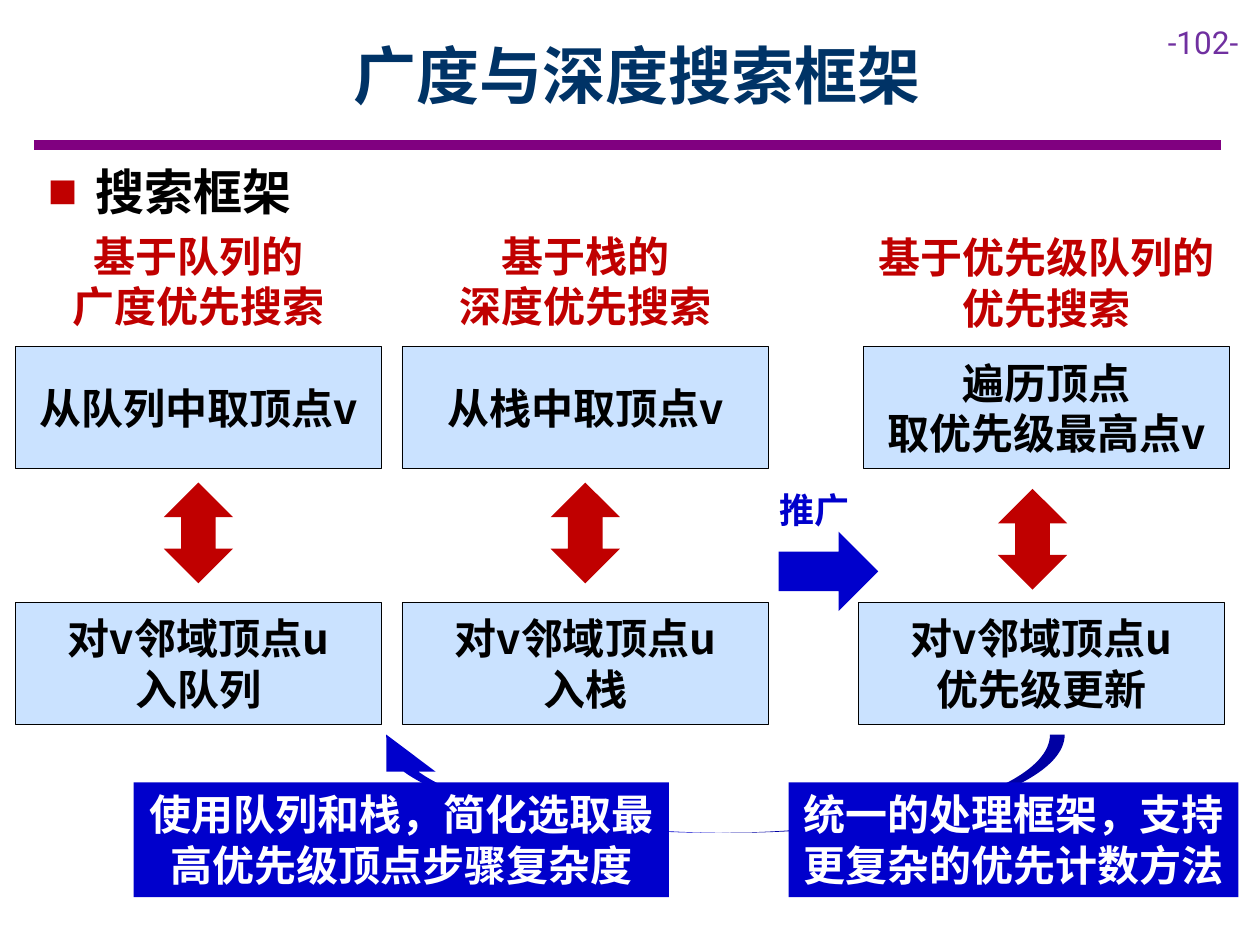
"""Build the slide comparing breadth-first, depth-first and priority search."""
from pptx import Presentation
from pptx.dml.color import RGBColor
from pptx.enum.shapes import MSO_CONNECTOR, MSO_SHAPE as SHAPE
from pptx.enum.text import MSO_ANCHOR as ANCHOR, MSO_AUTO_SIZE as AUTO_SIZE, PP_ALIGN as ALIGN
from pptx.oxml.ns import qn
from pptx.util import Inches, Pt
from lxml.etree import SubElement

COLORS = {
    "title": "003366", "red": "C00000", "blue": "0000CC", "pale": "CAE2FF",
    "black": "000000", "white": "FFFFFF", "rule": "800080", "number": "7030A0",
}
FONT = "Noto Sans CJK SC"


def write_text(shape, lines, size, color, align=ALIGN.CENTER, anchor=ANCHOR.MIDDLE,
               inset=0.05, wrap=True, font=FONT, bold=True):
    frame = shape.text_frame
    frame.word_wrap = wrap
    frame.auto_size = AUTO_SIZE.NONE
    frame.vertical_anchor = anchor
    frame.margin_left = frame.margin_right = Inches(0.1)
    frame.margin_top = frame.margin_bottom = Inches(inset)
    for index, line in enumerate(lines):
        paragraph = frame.paragraphs[0] if index == 0 else frame.add_paragraph()
        paragraph.alignment = align
        paragraph.space_before = Pt(0)
        run = paragraph.add_run()
        run.text = line
        run.font.size = Pt(size)
        run.font.bold = bold
        run.font.color.rgb = RGBColor.from_string(COLORS[color])
        run.font.name = font
        SubElement(run.font._element, qn("a:ea")).set("typeface", font)


def add_filled(kind, left, top, width, height, fill, outlined=False):
    shape = slide.shapes.add_shape(kind, Inches(left), Inches(top), Inches(width), Inches(height))
    shape.shadow.inherit = False
    shape.fill.solid()
    shape.fill.fore_color.rgb = RGBColor.from_string(COLORS[fill])
    if outlined:
        shape.line.color.rgb = RGBColor.from_string(COLORS["black"])
        shape.line.width = Pt(0.25)
    else:
        shape.line.fill.background()
    return shape


presentation = Presentation()
presentation.slide_width, presentation.slide_height = Inches(10), Inches(7.5)
slide = presentation.slides.add_slide(presentation.slide_layouts[1])

rule = slide.shapes.add_connector(
    MSO_CONNECTOR.STRAIGHT, Inches(0.27), Inches(1.15), Inches(9.69), Inches(1.15))
rule.line.color.rgb = RGBColor.from_string(COLORS["rule"])
rule.line.width = Pt(6)
SubElement(rule._element.spPr, qn("a:effectLst"))

number = slide.shapes.add_textbox(Inches(9.17), Inches(0.13), Inches(0.83), Inches(0.4))
write_text(number, ["-102-"], 18, "number", ALIGN.LEFT, ANCHOR.TOP, font="Roboto", bold=False)

title = slide.shapes.title
title.left, title.top, title.width, title.height = Inches(0.9), Inches(0.09), Inches(8.31), Inches(1)
write_text(title, ["广度与深度搜索框架"], 36, "title")

body = slide.placeholders[1]
body.left, body.top, body.width, body.height = Inches(0.28), Inches(1.23), Inches(3.46), Inches(0.57)
write_text(body, ["搜索框架"], 28, "black", ALIGN.LEFT, ANCHOR.TOP)
bullet_paragraph = body.text_frame.paragraphs[0]
bullet_paragraph.space_after = Pt(6)
properties = bullet_paragraph._p.get_or_add_pPr()
properties.set("marL", str(Inches(0.38)))
properties.set("indent", str(Inches(-0.38)))
bullet_color = SubElement(properties, qn("a:buClr"))
SubElement(bullet_color, qn("a:srgbClr")).set("val", COLORS["red"])
SubElement(properties, qn("a:buChar")).set("char", "■")

BOX_WIDTH, BOX_HEIGHT = 2.91, 0.97
columns = [
    (0.12, 0.12, 1.78, 2.91, 1.3, 3.83, 0.12, ["基于队列的", "广度优先搜索"],
     ["从队列中取顶点v"], "入队列"),
    (3.19, 3.19, 1.78, 2.91, 4.37, 3.83, 3.19, ["基于栈的", "深度优先搜索"],
     ["从栈中取顶点v"], "入栈"),
    (6.85, 6.73, 1.79, 3.15, 7.92, 3.88, 6.81, ["基于优先级队列的", "优先搜索"],
     ["遍历顶点", "取优先级最高点v"], "优先级更新"),
]
for (take_left, heading_left, heading_top, heading_width, arrow_left, arrow_top,
     update_left, heading_lines, take_lines, update_line) in columns:
    heading = slide.shapes.add_textbox(
        Inches(heading_left), Inches(heading_top), Inches(heading_width), Inches(0.9))
    write_text(heading, heading_lines, 24, "red", inset=0.1)
    take_box = add_filled(SHAPE.RECTANGLE, take_left, 2.75, BOX_WIDTH, BOX_HEIGHT, "pale", True)
    write_text(take_box, take_lines, 24, "black", inset=0.1)
    add_filled(SHAPE.UP_DOWN_ARROW, arrow_left, arrow_top, 0.55, 0.8, "red")
    update_box = add_filled(SHAPE.RECTANGLE, update_left, 4.78, BOX_WIDTH, BOX_HEIGHT, "pale", True)
    write_text(update_box, ["对v邻域顶点u", update_line], 24, "black", inset=0.1)

add_filled(SHAPE.RIGHT_ARROW, 6.18, 4.22, 0.79, 0.63, "blue")
extend_label = slide.shapes.add_textbox(Inches(6.09), Inches(3.83), Inches(0.76), Inches(0.44))
write_text(extend_label, ["推广"], 20, "blue", ALIGN.LEFT, ANCHOR.TOP, wrap=False)

return_arrow = add_filled(SHAPE.CURVED_DOWN_ARROW, 2.87, 5.83, 5.58, 0.78, "blue")
return_arrow.rotation = 180
for index, value in enumerate([0.15, 0.5, 0.377]):
    return_arrow.adjustments[index] = value

for left, width, note in [
    (6.26, 3.57, "统一的处理框架，支持更复杂的优先计数方法"),
    (1.06, 4.25, "使用队列和栈，简化选取最高优先级顶点步骤复杂度"),
]:
    note_box = add_filled(SHAPE.RECTANGLE, left, 6.21, width, 0.91, "blue")
    write_text(note_box, [note], 24, "white", anchor=ANCHOR.TOP)

presentation.save("out.pptx")
